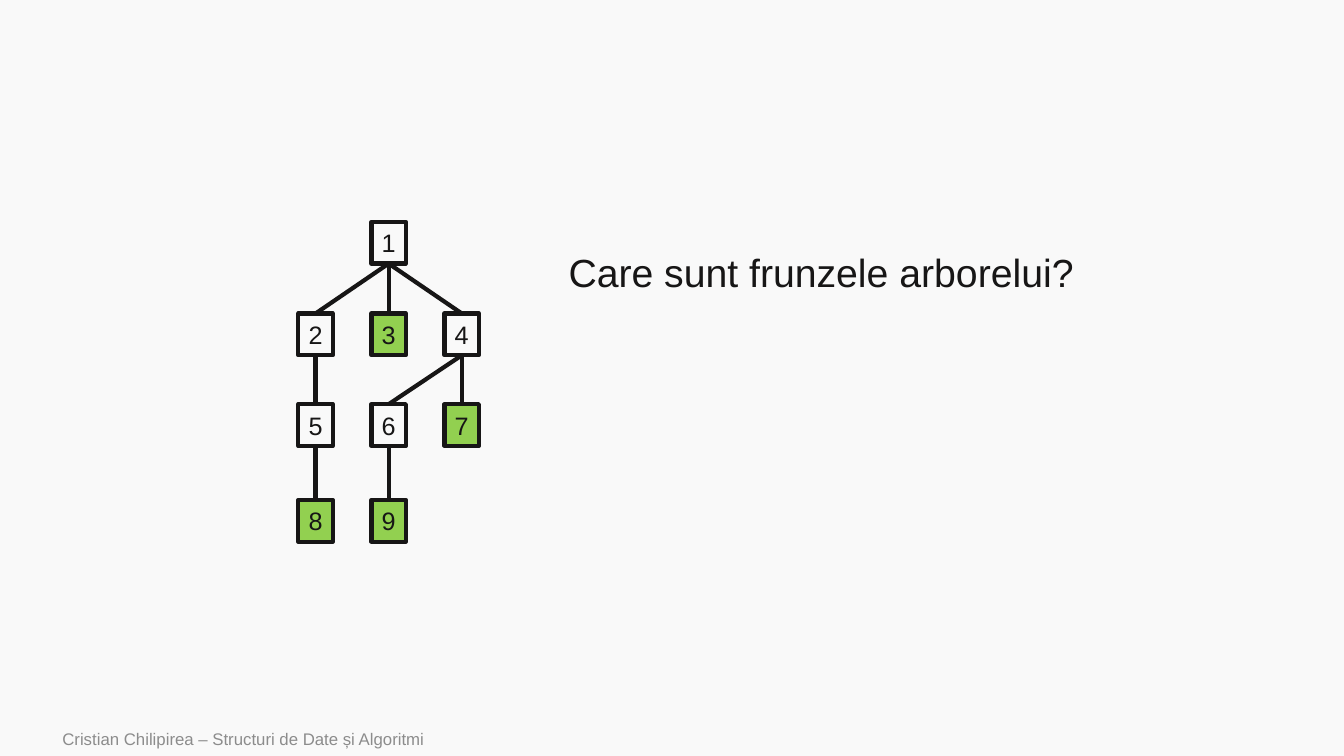
import pptx
import pptx.util
import pptx.dml.color
import pptx.enum.shapes
import pptx.enum.text
import pptx.oxml.ns
from lxml import etree

# Content
QUESTION = "Care sunt frunzele arborelui?"
FOOTER = "Cristian Chilipirea – Structuri de Date și Algoritmi"
NODES = {  # label: (column, row)
    "1": (1, 0),
    "2": (0, 1), "3": (1, 1), "4": (2, 1),
    "5": (0, 2), "6": (1, 2), "7": (2, 2),
    "8": (0, 3), "9": (1, 3),
}
EDGES = [("1", "2"), ("1", "3"), ("1", "4"), ("2", "5"),
         ("4", "6"), ("4", "7"), ("5", "8"), ("6", "9")]
LEAVES = {label for label in NODES} - {parent for parent, child in EDGES}

# Style and grid, in inches
FONT, INK, GREY, GREEN, PAPER = "Arial", "171616", "8C8C8C", "92D050", "F9F9F9"
LEFT, COLUMN_STEP = 2.96, 0.725
ROW_TOPS = [2.2, 3.11, 4.01, 4.96]
NODE_W, NODE_H = 0.34, 0.415
LINE_WIDTH = pptx.util.Pt(3)
inch = pptx.util.Inches
MIDDLE = pptx.enum.text.MSO_ANCHOR.MIDDLE


def color(value):
    return pptx.dml.color.RGBColor.from_string(value)


def write(sp, text, size, ink, wrap=False, anchor=None):
    tf = sp.text_frame
    tf.word_wrap = wrap
    if anchor is not None:
        tf.vertical_anchor = anchor
    p = tf.paragraphs[0]
    p.text = text
    p.font.name, p.font.size = FONT, pptx.util.Pt(size)
    p.font.color.rgb = color(ink)
    return p


def outline(sp):
    sp.line.color.rgb = color(INK)
    sp.line.width = LINE_WIDTH


def add_node(slide, label):
    column, row = NODES[label]
    sp = slide.shapes.add_shape(
        pptx.enum.shapes.MSO_SHAPE.RECTANGLE,
        inch(LEFT + column * COLUMN_STEP), inch(ROW_TOPS[row]),
        inch(NODE_W), inch(NODE_H))
    sp.shadow.inherit = False
    if label in LEAVES:
        sp.fill.solid()
        sp.fill.fore_color.rgb = color(GREEN)
    else:
        sp.fill.background()
    outline(sp)
    p = write(sp, label, 18, INK, anchor=MIDDLE)
    p.alignment = pptx.enum.text.PP_ALIGN.CENTER
    return sp


def add_edge(slide, parent, child):
    line = slide.shapes.add_connector(
        pptx.enum.shapes.MSO_CONNECTOR.STRAIGHT, 0, 0, 0, 0)
    line.begin_connect(parent, 2)
    line.end_connect(child, 0)
    outline(line)
    etree.SubElement(line._element.spPr, pptx.oxml.ns.qn("a:effectLst"))


def main():
    prs = pptx.Presentation()
    prs.slide_width, prs.slide_height = inch(13.33), inch(7.5)
    slide = prs.slides.add_slide(prs.slide_layouts[6])
    slide.background.fill.solid()
    slide.background.fill.fore_color.rgb = color(PAPER)

    # Tree
    boxes = {label: add_node(slide, label) for label in NODES}
    for parent, child in EDGES:
        add_edge(slide, boxes[parent], boxes[child])

    # Question
    sp = slide.shapes.add_textbox(inch(5.54), inch(2.41), inch(5.28), inch(0.57))
    write(sp, QUESTION, 28, INK)
    sp.text_frame.auto_size = pptx.enum.text.MSO_AUTO_SIZE.SHAPE_TO_FIT_TEXT

    # Footer
    sp = slide.shapes.add_textbox(inch(0.52), inch(7.16), inch(8.4), inch(0.34))
    write(sp, FOOTER, 12, GREY, wrap=True, anchor=MIDDLE)

    prs.save("out.pptx")


if __name__ == "__main__":
    main()
